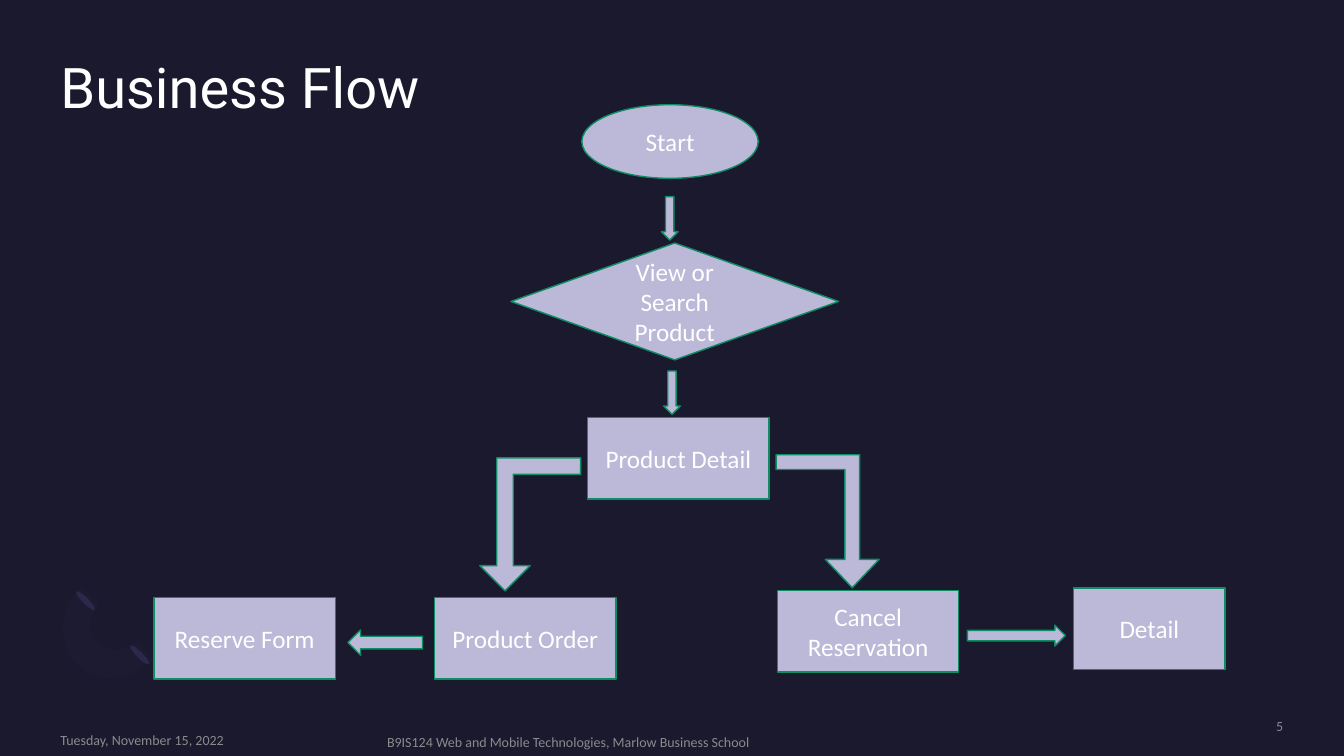
from pptx import Presentation
from pptx.dml.color import RGBColor
from pptx.enum.shapes import MSO_SHAPE as Kind
from pptx.enum.text import MSO_ANCHOR as Anchor, MSO_AUTO_SIZE as AutoSize, PP_ALIGN as Align
from pptx.util import Pt

NIGHT = RGBColor(0x1B, 0x19, 0x2E)
LEAF = RGBColor(0x2C, 0x28, 0x4A)
FAINT = RGBColor(0x1D, 0x1B, 0x31)
LILAC = RGBColor(0xBB, 0xB8, 0xD8)
GREEN = RGBColor(0x0E, 0x8D, 0x65)
GREY = RGBColor(0x8A, 0x8A, 0x8E)
WHITE = RGBColor(0xFF, 0xFF, 0xFF)

STEP_W, STEP_H = 129.6, 58.4

# kind, text, (left, top, width, height)
STEPS = [
    (Kind.OVAL, "Start", (415.6, 74.8, 126, 52.6)),
    (Kind.FLOWCHART_DECISION, "View or Search Product", (365, 173.6, 234, 83.5)),
    (Kind.RECTANGLE, "Product Detail", (419.8, 298.2, STEP_W, STEP_H)),
    (Kind.RECTANGLE, "Product Order", (310.4, 426.6, STEP_W, STEP_H)),
    (Kind.RECTANGLE, "Reserve Form", (110, 426.6, STEP_W, STEP_H)),
    (Kind.RECTANGLE, "Cancel Reservation", (555.3, 421.6, STEP_W, STEP_H)),
    (Kind.RECTANGLE, "Detail", (767, 420, 108, STEP_H)),
]

# kind, (left, top, width, height)
STRAIGHT_ARROWS = [
    (Kind.DOWN_ARROW, (472.4, 140.5, 12, 31)),
    (Kind.DOWN_ARROW, (474, 265, 12, 31)),
    (Kind.LEFT_ARROW, (248.5, 450, 53.3, 18)),
    (Kind.RIGHT_ARROW, (691, 446.5, 70, 15)),
]

# (left, top, width, height), adjustments, mirrored
BENT_ARROWS = [
    ((342.7, 327, 72, 95), (0.164, 0.25, 0.25), False),
    ((554.4, 324.8, 73.6, 95), (0.143, 0.261, 0.275), True),
]


def format_text(frame, text, font_name, size, color, align, anchor):
    frame.text = text
    frame.word_wrap = True
    frame.vertical_anchor = anchor
    para = frame.paragraphs[0]
    para.alignment = align
    para.font.name = font_name
    para.font.size = Pt(size)
    para.font.color.rgb = color
    return para


def clear_margins(frame):
    frame.margin_left = frame.margin_top = frame.margin_right = frame.margin_bottom = 0


def add_plain_shape(page, kind, box, fill, line=None):
    shape = page.shapes.add_shape(kind, *map(Pt, box))
    shape.shadow.inherit = False
    shape.fill.solid()
    shape.fill.fore_color.rgb = fill
    if line is None:
        shape.line.fill.background()
    else:
        shape.line.color.rgb = line
        shape.line.width = Pt(1)
    return shape


def curve_points(start, control1, control2, end, count=12):
    """Points along a cubic curve, without its start."""
    for step in range(1, count + 1):
        t = step / count
        u = 1 - t
        yield tuple(
            u**3 * a + 3 * u * u * t * b + 3 * u * t * t * c + t**3 * d
            for a, b, c, d in zip(start, control1, control2, end)
        )


def add_ornament(page, left, top):
    """Faint half ring with a leaf over each of its two ends."""
    outer_end, outer_mid, inner_start = (17, 0), (13, 55), (30, 13)
    inner_mid, inner_end, outer_start = (28, 40), (56, 39), (68, 52)
    points = [
        *curve_points(outer_mid, (-1, 41), (0, 16), outer_end),
        inner_start,
        *curve_points(inner_start, (21, 21), (21, 34), inner_mid),
        *curve_points(inner_mid, (35, 47), (47, 47), inner_end),
        outer_start,
        *curve_points(outer_start, (52, 68), (27, 70), outer_mid),
    ]
    placed = [(Pt(left + x), Pt(top + y)) for x, y in points]
    builder = page.shapes.build_freeform(Pt(left + outer_mid[0]), Pt(top + outer_mid[1]))
    builder.add_line_segments(placed, close=True)
    ring = builder.convert_to_shape()
    ring.shadow.inherit = False
    ring.fill.solid()
    ring.fill.fore_color.rgb = FAINT
    ring.line.fill.background()
    for shift in (0, 38.7):
        box = (left + 17.4 + shift, top + 0.7 + shift, 4.3, 18.7)
        add_plain_shape(page, Kind.OVAL, box, LEAF).rotation = 135


def add_title(page, text, box):
    title = page.shapes.title
    title.left, title.top, title.width, title.height = map(Pt, box)
    frame = title.text_frame
    para = format_text(frame, text, "Roboto", 40, WHITE, Align.LEFT, Anchor.TOP)
    para.line_spacing = 0.9
    frame.auto_size = AutoSize.NONE
    clear_margins(frame)


def add_flowchart(page):
    for kind, text, box in STEPS:
        step = add_plain_shape(page, kind, box, LILAC, GREEN)
        format_text(step.text_frame, text, "Calibri", 18, WHITE, Align.CENTER, Anchor.MIDDLE)
    for kind, box in STRAIGHT_ARROWS:
        add_plain_shape(page, kind, box, LILAC, GREEN)
    for box, adjustments, mirrored in BENT_ARROWS:
        arrow = add_plain_shape(page, Kind.BENT_UP_ARROW, box, LILAC, GREEN)
        for index, value in enumerate(adjustments):
            arrow.adjustments[index] = value
        arrow.rotation = 180
        if mirrored:
            arrow.element.spPr.xfrm.set("flipH", "1")


def add_footer_text(page, text, box, align=Align.LEFT):
    frame = page.shapes.add_textbox(*map(Pt, box)).text_frame
    format_text(frame, text, "Calibri", 10, GREY, align, Anchor.MIDDLE)
    clear_margins(frame)


def build_flow_page(deck):
    page = deck.slides.add_slide(deck.slide_layouts[5])
    page.background.fill.solid()
    page.background.fill.fore_color.rgb = NIGHT
    add_ornament(page, 41.5, 419)
    add_title(page, "Business Flow", (43.2, 43.2, 873.6, 105))
    add_flowchart(page)
    add_footer_text(page, "Tuesday, November 15, 2022", (43.2, 522.7, 207.4, 12.2))
    add_footer_text(
        page,
        "B9IS124 Web and Mobile Technologies, Marlow Business School",
        (276.5, 524.2, 502.6, 12.2),
    )
    add_footer_text(page, "5", (783.4, 512.6, 133.2, 12.2), Align.RIGHT)


def main():
    deck = Presentation()
    deck.slide_width, deck.slide_height = Pt(960), Pt(540)
    build_flow_page(deck)
    deck.save("out.pptx")


if __name__ == "__main__":
    main()
